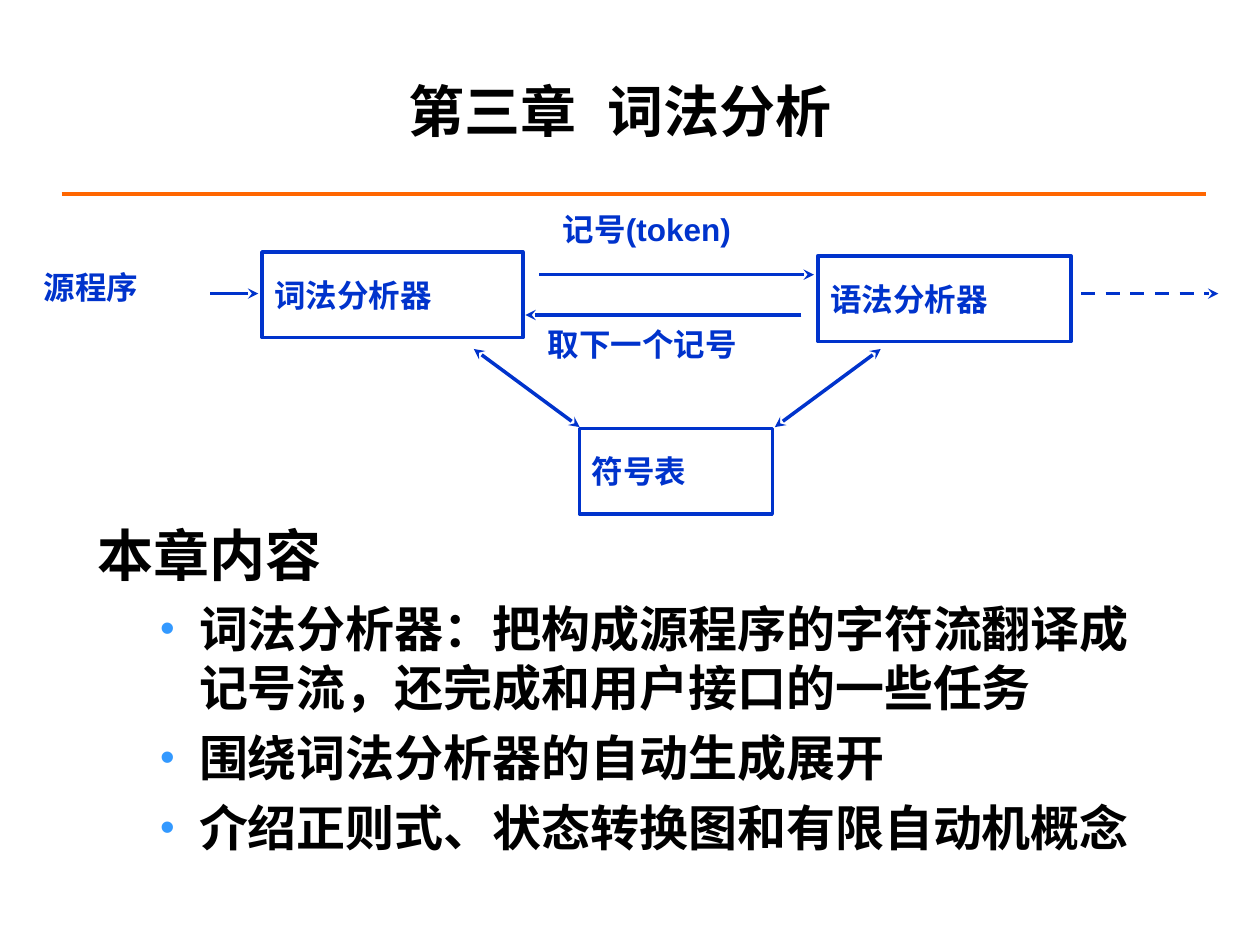
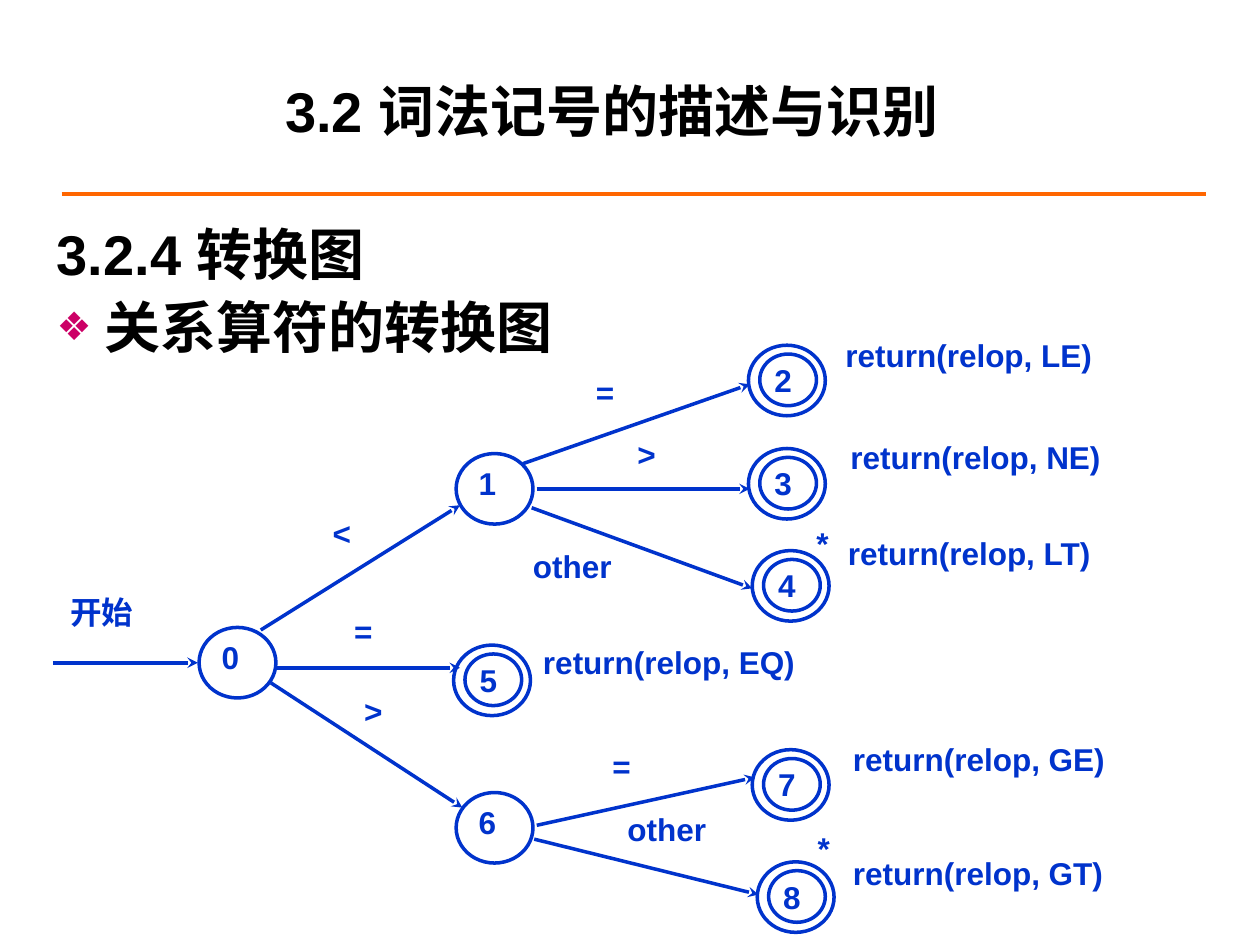
from typing import Any, NamedTuple

from lxml import etree
from pptx import Presentation
from pptx import util as u
from pptx.dml.color import RGBColor
from pptx.enum import dml, shapes, text
from pptx.oxml import ns

PX = 9144  # EMU per px, 100 px to the inch
BLACK = RGBColor(0x00, 0x00, 0x00)
BLUE = RGBColor(0x00, 0x33, 0xCC)
ORANGE = RGBColor(0xFF, 0x66, 0x00)
SKY = RGBColor(0x33, 0x99, 0xFF)
MAGENTA = RGBColor(0xCC, 0x00, 0x66)
LATIN, CJK = "Arial", "Noto Sans CJK SC"

LEFT, JUSTIFY = text.PP_ALIGN.LEFT, text.PP_ALIGN.JUSTIFY
TOP, MIDDLE = text.MSO_ANCHOR.TOP, text.MSO_ANCHOR.MIDDLE


class Area(NamedTuple):
    left: int
    top: int
    width: int
    height: int


class Style(NamedTuple):
    margins: tuple[int, int, int, int] = (10, 5, 10, 5)
    anchor: Any = TOP
    align: Any = LEFT


class Label(NamedTuple):
    words: str
    area: Area


class Arrow(NamedTuple):
    start: tuple[int, int]
    end: tuple[int, int]
    both_ends: bool = False
    dashed: bool = False


class State(NamedTuple):
    number: str
    left: int
    top: int
    final: bool = False


class Bullet(NamedTuple):
    sign: str
    color: RGBColor
    percent: int


class Item(NamedTuple):
    phrases: tuple[tuple[str, str], ...]
    size: int = 32
    level: int = 0
    indent: int = 38
    hanging: int = 38
    bullet: Bullet | None = None


TITLE_AREA = Area(67, 25, 850, 125)
PLAIN = Style()
BOXED = Style(anchor=MIDDLE)
NOTE = Style((6, 0, 6, 3), TOP, JUSTIFY)
OPEN_STATE = Style((9, 0, 10, 5), TOP, JUSTIFY)
FINAL_STATE = Style((5, 0, 7, 0), MIDDLE, JUSTIFY)
STATE_SIZE, RING_SIZE, RING_OFFSET = (61, 56), (45, 41), (9, 7)
DOT = Bullet("•", SKY, 85)
DIAMOND = Bullet("❖", MAGENTA, 70)

COMPONENTS = [
    Label("词法分析器", Area(208, 200, 207, 68)),
    Label("语法分析器", Area(649, 203, 201, 68)),
    Label("符号表", Area(460, 340, 153, 68)),
]
FLOWS = [
    Arrow((376, 277), (460, 339), both_ends=True),
    Arrow((699, 277), (615, 339), both_ends=True),
    Arrow((428, 218), (646, 218)),
    Arrow((636, 250), (417, 250)),
    Arrow((167, 233), (205, 233)),
    Arrow((858, 233), (967, 233), dashed=True),
]
FLOW_LABELS = [
    Label("记号(token)", Area(437, 162, 200, 50)),
    Label("取下一个记号", Area(425, 253, 223, 50)),
    Label("源程序", Area(25, 208, 133, 69)),
]
CHAPTER_TOPICS = [
    Item((("本章内容", LATIN),)),
    *(Item(phrases, 28, 1, 81, 31, DOT) for phrases in (
        (("词法分析器：把构成源程序的字符流翻译成记号流，", LATIN),
         ("还完成和用户接口的一些任务", CJK)),
        (("围绕词法分析器的自动生成展开", LATIN),),
        (("介绍正则式、状态转换图和有限自动机概念", LATIN),),
    )),
]

STATES = [
    State("0", 158, 498),
    State("5", 360, 512, final=True),
    State("1", 362, 360),
    State("6", 362, 629),
    State("2", 594, 274, final=True),
    State("4", 597, 437, final=True),
    State("8", 601, 684, final=True),
    State("3", 594, 356, final=True),
    State("7", 597, 595, final=True),
]
TRANSITIONS = [
    Arrow((42, 526), (157, 526)),
    Arrow((207, 500), (365, 401)),
    Arrow((415, 368), (595, 305)),
    Arrow((426, 388), (595, 388)),
    Arrow((422, 403), (597, 467)),
    Arrow((220, 530), (365, 530)),
    Arrow((215, 542), (367, 641)),
    Arrow((424, 666), (602, 710)),
    Arrow((426, 655), (599, 617)),
]
RETURNS = [
    Label(f"return(relop, {operator})", Area(left, top, 280, 52))
    for operator, left, top in (
        ("LE", 665, 267), ("NE", 669, 348), ("LT", 667, 424),
        ("GE", 671, 587), ("GT", 671, 678), ("EQ", 425, 510))
]
INPUTS = [
    Label("开始", Area(50, 471, 100, 47)),
    Label("<", Area(258, 408, 33, 31)),
    Label("=", Area(467, 296, 41, 34)),
    Label(">", Area(500, 345, 33, 39)),
    Label("=", Area(275, 486, 61, 38)),
    Label(">", Area(283, 549, 51, 35)),
    Label("=", Area(480, 593, 45, 35)),
    Label("*", Area(643, 658, 24, 25)),
    Label("*", Area(642, 416, 25, 24)),
    Label("other", Area(492, 643, 111, 39)),
    Label("other", Area(417, 434, 100, 33)),
]
RELOP_TOPICS = [
    Item((("3.2.4 转换图", LATIN),)),
    Item((("关系算符的转换图", LATIN),), bullet=DIAMOND),
]


def assign(target: Any, values: dict[str, Any]) -> None:
    for name, value in values.items():
        setattr(target, name, value)


def emu(lengths: tuple[int, ...]) -> list[int]:
    return [length * PX for length in lengths]


def add_xml(parent: Any, tag: str, **attributes: str) -> Any:
    return etree.SubElement(parent, ns.qn(tag), attributes)


def add_run(paragraph: Any, words: str, size: int, color: RGBColor,
            font: str = LATIN) -> None:
    run = paragraph.add_run()
    run.text = words
    assign(run.font, {"name": font, "size": u.Pt(size), "bold": True})
    run.font.color.rgb = color
    add_xml(run.font._element, "a:ea", typeface=LATIN)


def format_frame(frame: Any, style: Style) -> None:
    left, top, right, bottom = emu(style.margins)
    assign(frame, {
        "margin_left": left, "margin_top": top,
        "margin_right": right, "margin_bottom": bottom,
        "vertical_anchor": style.anchor, "word_wrap": True,
        "auto_size": text.MSO_AUTO_SIZE.NONE,
    })


def write(shape: Any, words: str, style: Style) -> None:
    format_frame(shape.text_frame, style)
    paragraph = shape.text_frame.paragraphs[0]
    paragraph.alignment = style.align
    add_run(paragraph, words, 18, BLUE)


def place(shape: Any, area: Area) -> None:
    assign(shape, dict(zip(("left", "top", "width", "height"), emu(area))))


def draw_outline(slide: Any, kind: Any, area: Area) -> Any:
    outline = slide.shapes.add_shape(kind, *emu(area))
    outline.shadow.inherit = False
    outline.fill.background()
    outline.line.color.rgb = BLUE
    outline.line.width = u.Pt(2)
    return outline


def draw_line(slide: Any, start: tuple[int, int], end: tuple[int, int],
              color: RGBColor, width: float) -> Any:
    connector = slide.shapes.add_connector(
        shapes.MSO_CONNECTOR.STRAIGHT, *emu(start + end))
    connector.line.color.rgb = color
    connector.line.width = u.Pt(width)
    add_xml(connector._element.spPr, "a:effectLst")
    return connector


def draw_arrow(slide: Any, arrow: Arrow) -> None:
    connector = draw_line(slide, arrow.start, arrow.end, BLUE, 2)
    if arrow.dashed:
        connector.line.dash_style = dml.MSO_LINE.DASH
    stroke = connector._element.spPr.find(ns.qn("a:ln"))
    if arrow.both_ends:
        add_xml(stroke, "a:headEnd", type="stealth")
    add_xml(stroke, "a:tailEnd", type="stealth")


def draw_label(slide: Any, label: Label, style: Style) -> None:
    write(slide.shapes.add_textbox(*emu(label.area)), label.words, style)


def draw_state(slide: Any, state: State) -> None:
    """Draw a circle, with an inner ring when the state is final."""
    oval = shapes.MSO_SHAPE.OVAL
    circle = draw_outline(slide, oval, Area(state.left, state.top, *STATE_SIZE))
    if not state.final:
        write(circle, state.number, OPEN_STATE)
        return
    dx, dy = RING_OFFSET
    ring = draw_outline(
        slide, oval, Area(state.left + dx, state.top + dy, *RING_SIZE))
    write(ring, state.number, FINAL_STATE)


def fill_body(body: Any, items: list[Item], spacing: float) -> None:
    frame = body.text_frame
    format_frame(frame, PLAIN)
    for index, item in enumerate(items):
        paragraph = frame.add_paragraph() if index else frame.paragraphs[0]
        assign(paragraph, {
            "level": item.level, "line_spacing": spacing,
            "space_before": u.Pt(round(item.size * 0.23, 1)),
        })
        properties = paragraph._p.get_or_add_pPr()
        properties.set("marL", str(item.indent * PX))
        properties.set("indent", str(-item.hanging * PX))
        if item.bullet:
            sign, color, percent = item.bullet
            add_xml(add_xml(properties, "a:buClr"), "a:srgbClr", val=str(color))
            add_xml(properties, "a:buSzPct", val=str(percent * 1000))
            add_xml(properties, "a:buChar", char=sign)
        else:
            add_xml(properties, "a:buNone")
        for words, font in item.phrases:
            add_run(paragraph, words, item.size, BLACK, font)


def start_slide(deck: Any, heading: str, body_area: Area, items: list[Item],
                spacing: float = 1.0) -> Any:
    """Add a slide with its orange rule, title and body list."""
    slide = deck.slides.add_slide(deck.slide_layouts[1])
    draw_line(slide, (49, 154), (957, 154), ORANGE, 2.25)
    title, body = slide.placeholders
    place(title, TITLE_AREA)
    format_frame(title.text_frame, BOXED)
    paragraph = title.text_frame.paragraphs[0]
    paragraph.alignment = text.PP_ALIGN.CENTER
    add_run(paragraph, heading, 32, BLACK)
    place(body, body_area)
    fill_body(body, items, spacing)
    return slide


def build_chapter(deck: Any) -> None:
    slide = start_slide(deck, "第三章  词法分析", Area(67, 408, 850, 283),
                        CHAPTER_TOPICS)
    for component in COMPONENTS:
        box = draw_outline(slide, shapes.MSO_SHAPE.RECTANGLE, component.area)
        write(box, component.words, BOXED)
    for flow in FLOWS:
        draw_arrow(slide, flow)
    for label in FLOW_LABELS:
        draw_label(slide, label, PLAIN)


def build_relop(deck: Any) -> None:
    slide = start_slide(deck, "3.2 词法记号的描述与识别 ",
                        Area(35, 175, 937, 129), RELOP_TOPICS, 0.9)
    for state in STATES:
        draw_state(slide, state)
    for transition in TRANSITIONS:
        draw_arrow(slide, transition)
    for label in RETURNS + INPUTS:
        draw_label(slide, label, NOTE)


def main() -> None:
    deck = Presentation()
    assign(deck, {"slide_width": 1000 * PX, "slide_height": 750 * PX})
    build_chapter(deck)
    build_relop(deck)
    deck.save("out.pptx")


if __name__ == "__main__":
    main()
